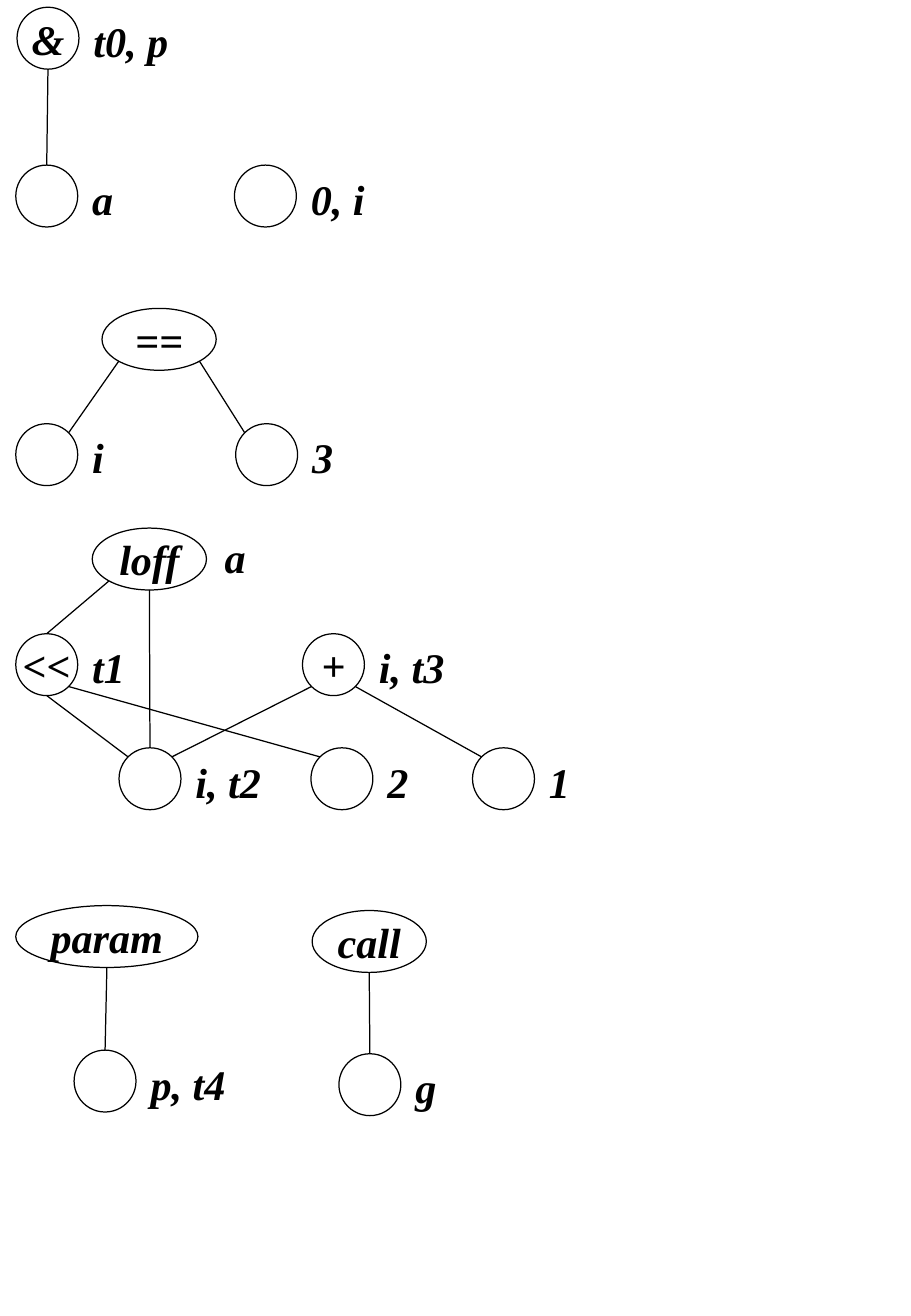
import math
import pptx
import pptx.util
import pptx.dml.color
import pptx.enum.shapes
import pptx.enum.text
import pptx.oxml

COLS, ROWS = 750, 1084
WIDE, HIGH = pptx.util.Inches(7.5), pptx.util.Inches(10.84)
SIZE, OVAL = 51, 94
INK = "000000"
SITES = {
    "top": (0, -1),
    "bottom": (0, 1),
    "low left": (-math.sqrt(0.5), math.sqrt(0.5)),
    "low right": (math.sqrt(0.5), math.sqrt(0.5)),
    "high left": (-math.sqrt(0.5), -math.sqrt(0.5)),
    "high right": (math.sqrt(0.5), -math.sqrt(0.5)),
}

TREES = [
    ((13, 6),
     {"&": (1, 0, SIZE, "&", "t0, p"), "a": (0, 130, SIZE, "", "a")},
     [("&", "bottom", "a", "top")]),
    ((193, 136), {"0": (0, 0, SIZE, "", "0, i")}, []),
    ((13, 254),
     {"==": (71, 0, OVAL, "==", ""),
      "i": (0, 95, SIZE, "", "i"),
      "3": (181, 95, SIZE, "", "3")},
     [("==", "low left", "i", "high right"),
      ("==", "low right", "3", "high left")]),
    ((13, 435),
     {"loff": (63, 0, OVAL, "loff", "a"),
      "<<": (0, 87, SIZE, "<<", "t1"),
      "+": (236, 87, SIZE, "+", "i, t3"),
      "i": (85, 181, SIZE, "", "i, t2"),
      "2": (243, 181, SIZE, "", "2"),
      "1": (376, 181, SIZE, "", "1")},
     [("loff", "low left", "<<", "top"),
      ("loff", "bottom", "i", "top"),
      ("<<", "bottom", "i", "high left"),
      ("<<", "low right", "2", "high left"),
      ("+", "low left", "i", "high right"),
      ("+", "low right", "1", "high left")]),
    ((13, 746),
     {"param": (0, 0, 150, "param", ""), "p": (48, 119, SIZE, "", "p, t4")},
     [("param", "bottom", "p", "top")]),
    ((257, 750),
     {"call": (0, 0, OVAL, "call", ""), "g": (22, 118, SIZE, "", "g")},
     [("call", "bottom", "g", "top")]),
]


def color(code):
    return pptx.dml.color.RGBColor.from_string(code)


def place(left, top, width, height):
    return [round(left * WIDE / COLS), round(top * HIGH / ROWS),
            round(width * WIDE / COLS), round(height * HIGH / ROWS)]


def write(shape, text, align, inset, wrap):
    frame = shape.text_frame
    frame.word_wrap = wrap
    frame.vertical_anchor = pptx.enum.text.MSO_ANCHOR.MIDDLE
    frame.margin_left = frame.margin_right = pptx.util.Inches(inset)
    frame.margin_top = frame.margin_bottom = pptx.util.Inches(0.05)
    para = frame.paragraphs[0]
    para.text = text
    para.alignment = align
    font = para.font
    font.name, font.size = "Times New Roman", pptx.util.Pt(25)
    font.bold = font.italic = True
    font.color.rgb = color(INK)


def stroke(item):
    item.line.color.rgb = color(INK)
    item.line.width = pptx.util.Pt(0.75)


def node(slide, left, top, width, sign, label):
    oval = slide.shapes.add_shape(
        pptx.enum.shapes.MSO_SHAPE.OVAL, *place(left, top, width, SIZE))
    oval.shadow.inherit = False
    oval.fill.background()
    stroke(oval)
    if sign:
        write(oval, sign, pptx.enum.text.PP_ALIGN.CENTER, 0.1, False)
    if label:
        gap, drop = (1, 4) if width == SIZE else (4, 0)
        box = slide.shapes.add_textbox(
            *place(left + width + gap, top + drop, 100, 47))
        write(box, label, pptx.enum.text.PP_ALIGN.LEFT, 0.11, True)
    return oval


def point(oval, site):
    across, down = SITES[site]
    return (round(oval.left + oval.width * (1 + across) / 2),
            round(oval.top + oval.height * (1 + down) / 2))


def link(slide, start, out, end, into):
    line = slide.shapes.add_connector(
        pptx.enum.shapes.MSO_CONNECTOR.STRAIGHT,
        *point(start, out), *point(end, into))
    if into == "top":
        line.end_connect(end, 0)
    stroke(line)
    line._element.spPr.append(pptx.oxml.parse_xml(
        '<a:effectLst xmlns:a="http://schemas.openxmlformats.org/'
        'drawingml/2006/main"/>'))


def tree(slide, box, nodes, links):
    left, top = box
    ovals = {key: node(slide, left + col, top + row, *rest)
             for key, (col, row, *rest) in nodes.items()}
    for start, out, end, into in links:
        link(slide, ovals[start], out, ovals[end], into)


def main():
    deck = pptx.Presentation()
    deck.slide_width, deck.slide_height = WIDE, HIGH
    slide = deck.slides.add_slide(deck.slide_layouts[6])
    for box, nodes, links in TREES:
        tree(slide, box, nodes, links)
    deck.save("out.pptx")


if __name__ == "__main__":
    main()
